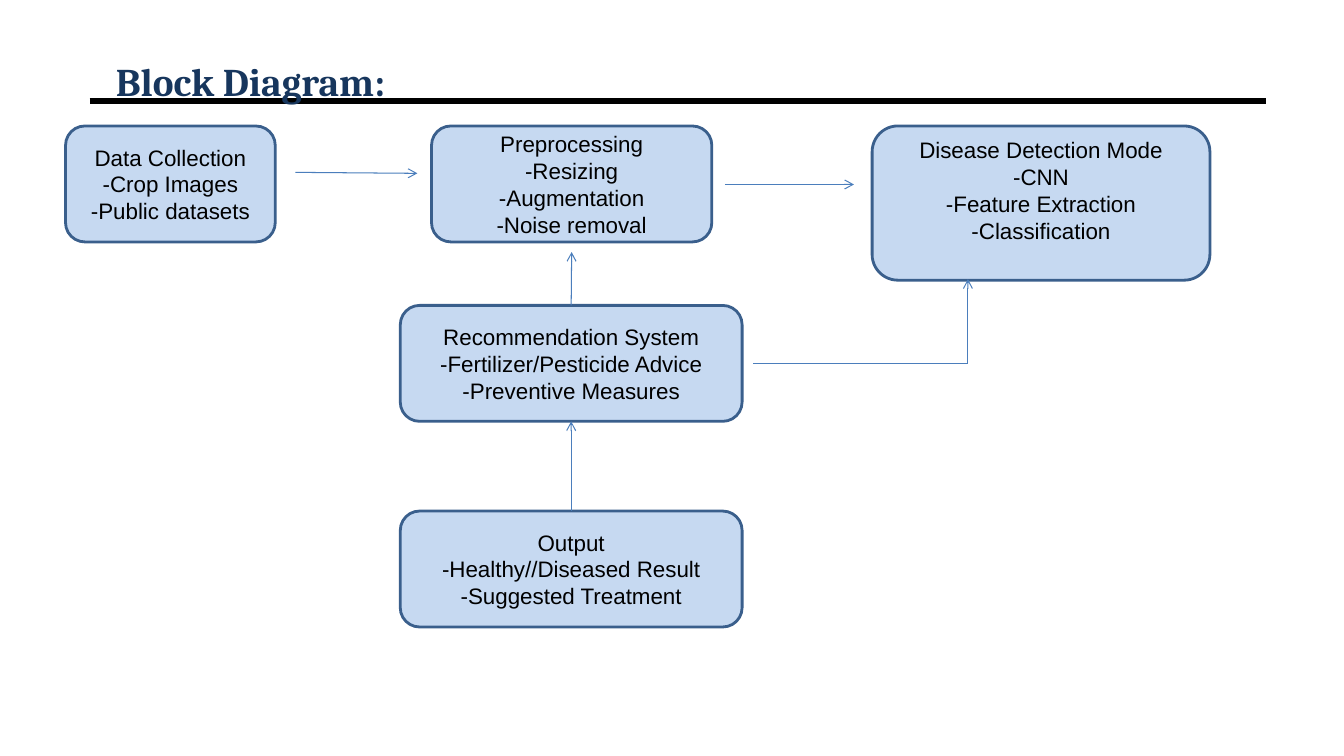
from pptx import Presentation
from pptx import util as u
from pptx.dml.color import RGBColor
from pptx.enum import shapes, text
from pptx.oxml.ns import qn
from lxml import etree


def color(code):
    return RGBColor.from_string(code)


def link(start, end, ink="4B7EBC", width=0.75, arrow=True):
    line = slide.shapes.add_connector(
        shapes.MSO_CONNECTOR.STRAIGHT, *map(u.Inches, start + end))
    line.line.color.rgb = color(ink)
    line.line.width = u.Pt(width)
    if arrow:
        tail = etree.SubElement(line.line._get_or_add_ln(), qn("a:tailEnd"))
        tail.set("type", "arrow")
    etree.SubElement(line._element.spPr, qn("a:effectLst"))
    return line


deck = Presentation()
deck.slide_width = u.Inches(13.33)
deck.slide_height = u.Inches(7.5)
slide = deck.slides.add_slide(deck.slide_layouts[6])

link((0.89, 1), (12.56, 1), "000000", 4.5, False)

title = slide.shapes.add_textbox(
    u.Inches(0.89), u.Inches(0.3), u.Inches(11.67), u.Inches(0.53))
frame = title.text_frame
frame.word_wrap = True
frame.vertical_anchor = text.MSO_ANCHOR.MIDDLE
frame.margin_left = u.Inches(0.26)
frame.text = "Block Diagram:"
head = frame.paragraphs[0]
head.line_spacing = 2.0
head.font.name = "Cambria"
head.font.size = u.Pt(28)
head.font.bold = True
head.font.color.rgb = color("17365D")

blocks = [
    ("collect", 0.65, 1.25, 2.08, 1.15,
     ["Data Collection", "-Crop Images", "-Public datasets"]),
    ("advice", 3.97, 3.03, 3.39, 1.15,
     ["Recommendation System", "-Fertilizer/Pesticide Advice", "-Preventive Measures"]),
    ("prepare", 4.28, 1.25, 2.78, 1.15,
     ["Preprocessing", "-Resizing", "-Augmentation", "-Noise removal"]),
    ("detect", 8.65, 1.25, 3.35, 1.53,
     ["Disease Detection Mode", "-CNN", "-Feature Extraction", "-Classification"]),
    ("output", 3.97, 5.07, 3.39, 1.15,
     ["Output", "-Healthy//Diseased Result", "-Suggested Treatment"]),
]
boxes = {}
for name, left, top, width, height, lines in blocks:
    box = slide.shapes.add_shape(
        shapes.MSO_SHAPE.ROUNDED_RECTANGLE,
        *map(u.Inches, (left, top, width, height)))
    box.shadow.inherit = False
    box.fill.solid()
    box.fill.fore_color.rgb = color("C6D9F1")
    box.line.color.rgb = color("3A5F8C")
    box.line.width = u.Pt(2)
    frame = box.text_frame
    frame.word_wrap = True
    frame.vertical_anchor = text.MSO_ANCHOR.MIDDLE
    frame.text = "\n".join(lines)
    for para in frame.paragraphs:
        para.alignment = text.PP_ALIGN.CENTER
        para.font.name = "Arial"
        para.font.size = u.Pt(16)
        para.font.color.rgb = color("000000")
    boxes[name] = box
boxes["detect"].text_frame.margin_bottom = u.Inches(0.31)

link((2.93, 1.71), (4.14, 1.72))
link((7.19, 1.83), (8.47, 1.83))
rise = link((5.67, 3.03), (5.67, 2.5))
rise.begin_connect(boxes["advice"], 0)
climb = link((5.67, 5.07), (5.67, 4.18))
climb.begin_connect(boxes["output"], 0)
climb.end_connect(boxes["advice"], 2)
link((7.47, 3.61), (9.6, 3.61), arrow=False)
link((9.6, 3.61), (9.6, 2.77))

deck.save("out.pptx")
